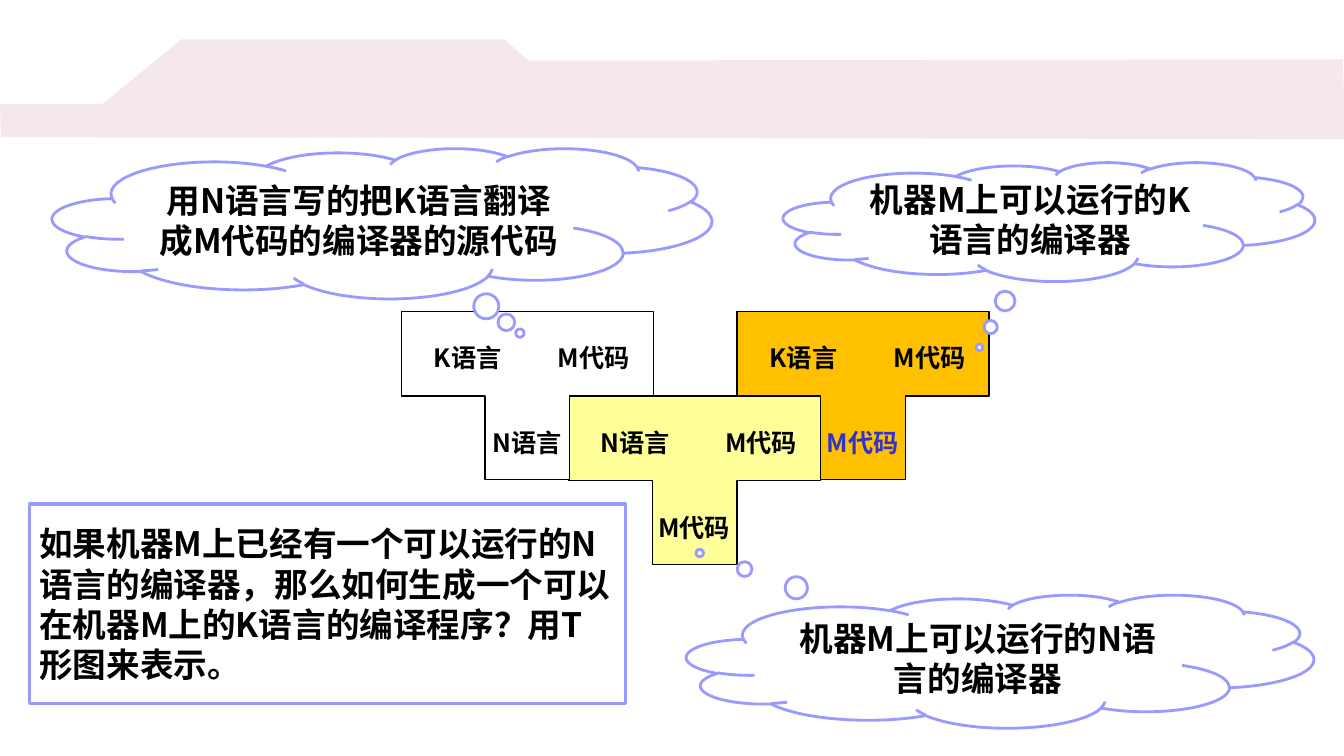
from dataclasses import dataclass

from lxml.etree import SubElement
from pptx import Presentation
from pptx.dml.color import RGBColor
from pptx.enum.shapes import MSO_SHAPE
from pptx.enum.text import MSO_ANCHOR, PP_ALIGN
from pptx.oxml.ns import qn
from pptx.shapes.autoshape import Shape
from pptx.util import Pt

PX = 9144


@dataclass(frozen=True)
class Theme:
    font: str = "Noto Sans CJK SC"
    banner: str = "F4E7ED"
    paper: str = "FFFFFF"
    yellow: str = "FFFF99"
    orange: str = "FFC000"
    ink: str = "000000"
    accent: str = "3333CC"
    outline: str = "9999FF"
    label_size: int = 18
    body_size: int = 24


THEME = Theme()


@dataclass(frozen=True)
class Box:
    left: int
    top: int
    width: int
    height: int

    def emu(self) -> list[int]:
        return [value * PX for value in (self.left, self.top, self.width, self.height)]


@dataclass(frozen=True)
class TDiagram:
    left: int
    top: int
    fill: str
    source: str
    target: str
    host: str
    host_color: str = THEME.ink


@dataclass(frozen=True)
class Callout:
    box: Box
    tail: tuple[float, float]
    text: str


BANNER = [(0, 103), (102, 103), (180, 39), (500, 39),
          (524, 60), (1332, 59), (1334, 138), (1, 136)]
T_OUTLINE = [(0, 0), (250, 0), (250, 84), (167, 84),
             (167, 167), (83, 167), (83, 84), (0, 84)]
DIAGRAMS = [
    TDiagram(564, 393, THEME.yellow, "N语言", "M代码", "M代码"),
    TDiagram(398, 309, THEME.paper, "K语言", "M代码", "N语言"),
    TDiagram(731, 309, THEME.orange, "K语言", "M代码", "M代码", THEME.accent),
]
CALLOUTS = [
    Callout(Box(681, 590, 622, 132), (-0.479, -0.814), "机器M上可以运行的N语言的编译器"),
    Callout(Box(777, 161, 527, 118), (-0.131, 1.056), "机器M上可以运行的K语言的编译器"),
    Callout(Box(52, 147, 654, 149), (0.209, 0.731),
            "用N语言写的把K语言翻译成M代码的编译器的源代码"),
]
QUESTION = ("如果机器M上已经有一个可以运行的N语言的编译器，那么如何生成一个"
            "可以在机器M上的K语言的编译程序？用T形图来表示。")


def paint(shape: Shape, fill: str, line: str | None = None, weight: float = 1) -> None:
    shape.shadow.inherit = False
    shape.fill.solid()
    shape.fill.fore_color.rgb = RGBColor.from_string(fill)
    if line is None:
        shape.line.fill.background()
    else:
        shape.line.color.rgb = RGBColor.from_string(line)
        shape.line.width = Pt(weight)


def write(shape: Shape, text: str, size: int, color: str = THEME.ink,
          align: PP_ALIGN = PP_ALIGN.CENTER, spacing: float = 1.0,
          wrap: bool = True) -> None:
    frame = shape.text_frame
    frame_format = {"word_wrap": wrap, "vertical_anchor": MSO_ANCHOR.MIDDLE}
    if not wrap:
        frame_format |= {"margin_left": 0, "margin_right": 0}
    para = frame.paragraphs[0]
    span = para.add_run()
    span.text = text
    formats = [
        (frame, frame_format),
        (para, {"alignment": align, "line_spacing": spacing}),
        (span.font, {"name": THEME.font, "size": Pt(size), "bold": True}),
    ]
    for target, values in formats:
        for name, value in values.items():
            setattr(target, name, value)
    span.font.color.rgb = RGBColor.from_string(color)
    SubElement(span.font._element, qn("a:ea"), typeface=THEME.font)


def draw_outline(shapes, points: list[tuple[int, int]], left: int = 0, top: int = 0) -> Shape:
    corners = [(left + x, top + y) for x, y in points]
    builder = shapes.build_freeform(*corners[0], scale=PX)
    builder.add_line_segments(corners[1:], close=True)
    return builder.convert_to_shape()


def draw_diagram(slide, diagram: TDiagram) -> None:
    group = slide.shapes.add_group_shape()
    outline = draw_outline(group.shapes, T_OUTLINE, diagram.left, diagram.top)
    paint(outline, diagram.fill, THEME.ink)
    labels = [
        (Box(141, 17, 100, 58), diagram.target, THEME.ink, 1.0),
        (Box(91, 108, 67, 50), diagram.host, diagram.host_color, 0.8),
        (Box(16, 17, 100, 58), diagram.source, THEME.ink, 1.0),
    ]
    for offset, text, color, spacing in labels:
        box = Box(diagram.left + offset.left, diagram.top + offset.top,
                  offset.width, offset.height)
        label = group.shapes.add_shape(MSO_SHAPE.RECTANGLE, *box.emu())
        paint(label, diagram.fill)
        write(label, text, THEME.label_size, color, spacing=spacing, wrap=False)


def draw_callout(slide, callout: Callout) -> None:
    cloud = slide.shapes.add_shape(MSO_SHAPE.CLOUD_CALLOUT, *callout.box.emu())
    for index, value in enumerate(callout.tail):
        cloud.adjustments[index] = value
    paint(cloud, THEME.paper, THEME.outline, 2)
    write(cloud, callout.text, THEME.body_size)


def main() -> None:
    deck = Presentation()
    deck.slide_width, deck.slide_height = 1333 * PX, 750 * PX
    page = deck.slides.add_slide(deck.slide_layouts[6])
    paint(draw_outline(page.shapes, BANNER), THEME.banner)
    for diagram in DIAGRAMS:
        draw_diagram(page, diagram)
    for callout in CALLOUTS:
        draw_callout(page, callout)
    question = page.shapes.add_shape(MSO_SHAPE.RECTANGLE, *Box(29, 500, 591, 198).emu())
    paint(question, THEME.paper, THEME.outline, 2.25)
    write(question, QUESTION, THEME.body_size, align=PP_ALIGN.LEFT)
    deck.save("out.pptx")


if __name__ == "__main__":
    main()
